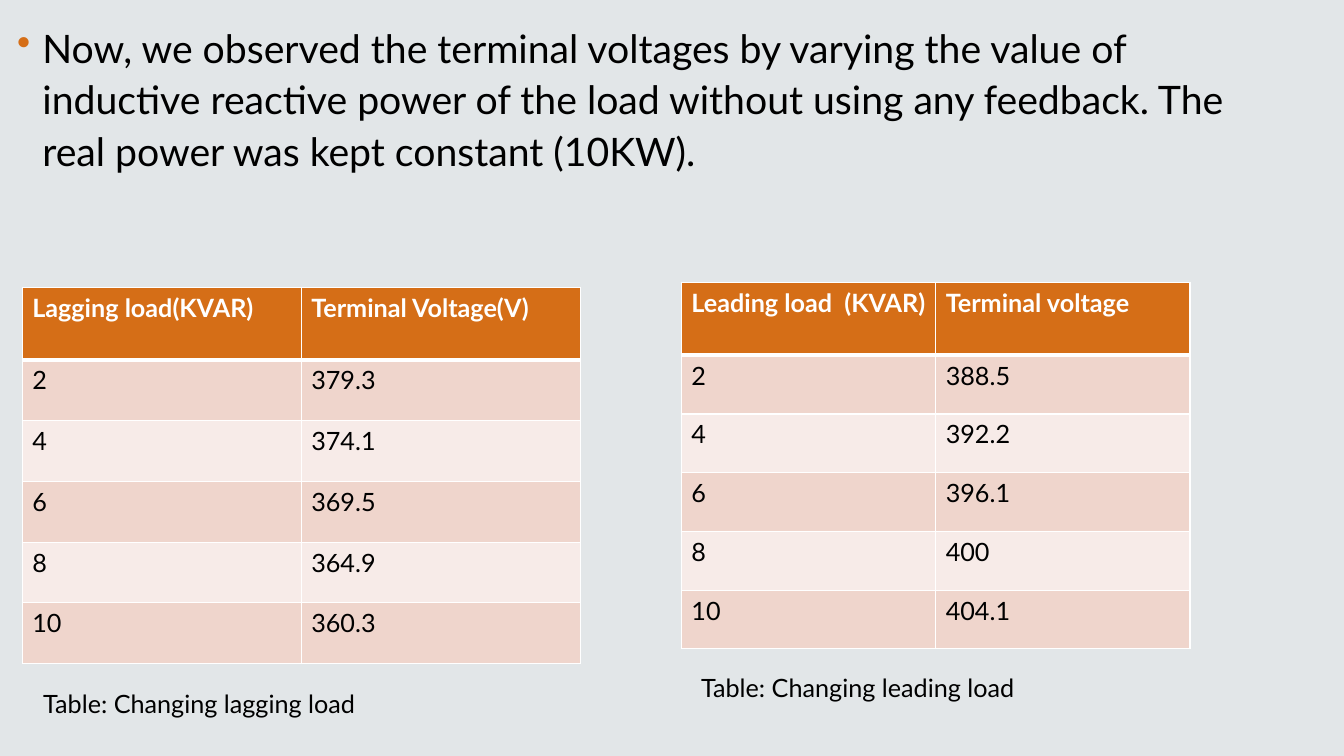
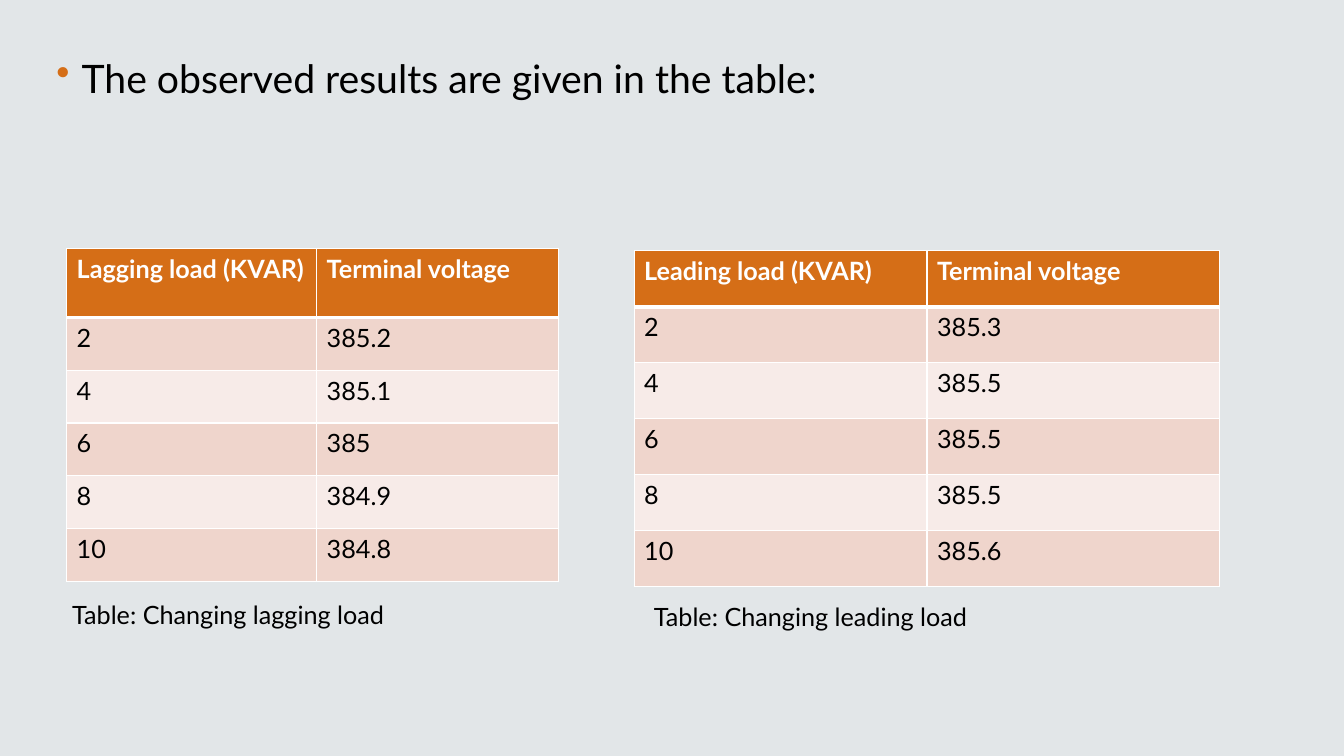
from dataclasses import dataclass

from lxml.etree import SubElement
from pptx import Presentation
from pptx.dml.color import RGBColor
from pptx.oxml.ns import qn
from pptx.slide import Slide
from pptx.table import _Cell
from pptx.text.text import _Paragraph
from pptx.util import Cm, Pt

# Shared style
COLORS = {
    "background": "E2E6E8",
    "accent": "D56E17",
    "band_dark": "EFD5CC",
    "band_light": "F7EBE8",
    "white": "FFFFFF",
    "text": "000000",
}
FONT_NAME = "Lato"
STATEMENT_SIZE = 28
TABLE_SIZE = 18
INDENT = Cm(0.64)
THIN_BORDER, THICK_BORDER = Pt(1), Pt(3)
BLANK_LAYOUT = 6
LOADS = ("2", "4", "6", "8", "10")


# Slide elements; all lengths are in centimetres
@dataclass(frozen=True)
class TextBlock:
    text: str
    left: float
    top: float
    width: float
    height: float = 1.02


@dataclass(frozen=True)
class LoadTable:
    headers: tuple[str, str]
    voltages: tuple[str, ...]
    left: float
    top: float
    column_widths: tuple[float, float]
    header_height: float
    row_height: float
    caption: TextBlock


@dataclass(frozen=True)
class ResultSlide:
    statement: TextBlock
    tables: tuple[LoadTable, ...]


RESULT_SLIDES = (
    ResultSlide(
        TextBlock(
            "Now, we observed the terminal voltages by varying the value of "
            "inductive reactive power of the load without using any feedback. "
            "The real power was kept constant (10KW).",
            0.18, 0.36, 31.98, 4.67,
        ),
        (
            LoadTable(
                ("Lagging load(KVAR)", "Terminal Voltage(V)"),
                ("379.3", "374.1", "369.5", "364.9", "360.3"),
                0.56, 7.24, (7.03, 7.03), 1.83, 1.53,
                TextBlock("Table: Changing lagging load", 0.84, 17.22, 11.96),
            ),
            LoadTable(
                ("Leading load  (KVAR)", "Terminal voltage"),
                ("388.5", "392.2", "396.1", "400", "404.1"),
                17.17, 7.11, (6.41, 6.41), 1.84, 1.48,
                TextBlock("Table: Changing leading load", 17.42, 16.81, 11.86),
            ),
        ),
    ),
    ResultSlide(
        TextBlock(
            "The observed results are given in the table:",
            1.17, 1.12, 27.15, 2.34,
        ),
        (
            LoadTable(
                ("Lagging load (KVAR)", "Terminal voltage"),
                ("385.2", "385.1", "385", "384.9", "384.8"),
                1.68, 6.27, (6.3, 6.1), 1.73, 1.33,
                TextBlock("Table: Changing lagging load", 1.57, 14.99, 12.01),
            ),
            LoadTable(
                ("Leading load (KVAR)", "Terminal voltage"),
                ("385.3", "385.5", "385.5", "385.5", "385.6"),
                15.98, 6.32, (7.38, 7.38), 1.41, 1.41,
                TextBlock("Table: Changing leading load", 16.23, 15.04, 14.38),
            ),
        ),
    ),
)


def color(name: str) -> RGBColor:
    return RGBColor.from_string(COLORS[name])


def style_font(
    paragraph: _Paragraph, size: int, color_name: str = "text", bold: bool = False
) -> None:
    font = paragraph.font
    font.name = FONT_NAME
    font.size = Pt(size)
    font.bold = bold
    font.color.rgb = color(color_name)


def add_text(slide: Slide, block: TextBlock) -> _Paragraph:
    shape = slide.shapes.add_textbox(
        Cm(block.left), Cm(block.top), Cm(block.width), Cm(block.height)
    )
    shape.text_frame.word_wrap = True
    paragraph = shape.text_frame.paragraphs[0]
    paragraph.text = block.text
    return paragraph


def add_statement(slide: Slide, block: TextBlock) -> None:
    paragraph = add_text(slide, block)
    paragraph.line_spacing = 1.1
    paragraph.space_before = Pt(10)
    # Bullet with a hanging indent
    properties = paragraph._p.get_or_add_pPr()
    properties.set("marL", str(INDENT))
    properties.set("indent", str(-INDENT))
    bullet_color = SubElement(properties, qn("a:buClr"))
    SubElement(bullet_color, qn("a:srgbClr"), val=COLORS["accent"])
    SubElement(properties, qn("a:buChar"), char="•")
    style_font(paragraph, STATEMENT_SIZE)


def set_borders(cell: _Cell, row_index: int) -> None:
    properties = cell._tc.get_or_add_tcPr()
    widths = {
        "lnL": THIN_BORDER,
        "lnR": THIN_BORDER,
        "lnT": THICK_BORDER if row_index == 1 else THIN_BORDER,
        "lnB": THICK_BORDER if row_index == 0 else THIN_BORDER,
    }
    for side, width in widths.items():
        line = SubElement(properties, qn(f"a:{side}"), w=str(width))
        fill = SubElement(line, qn("a:solidFill"))
        SubElement(fill, qn("a:srgbClr"), val=COLORS["white"])


def fill_cell(cell: _Cell, text: str, row_index: int) -> None:
    is_header = row_index == 0
    band = "band_dark" if row_index % 2 else "band_light"
    set_borders(cell, row_index)
    cell.fill.solid()
    cell.fill.fore_color.rgb = color("accent" if is_header else band)
    paragraph = cell.text_frame.paragraphs[0]
    paragraph.text = text
    style_font(paragraph, TABLE_SIZE, "white" if is_header else "text", is_header)


def add_load_table(slide: Slide, load_table: LoadTable) -> None:
    rows = (load_table.headers, *zip(LOADS, load_table.voltages))
    heights = [load_table.header_height] + [load_table.row_height] * len(LOADS)
    table = slide.shapes.add_table(
        len(rows), len(load_table.headers),
        Cm(load_table.left), Cm(load_table.top),
        Cm(sum(load_table.column_widths)), Cm(sum(heights)),
    ).table
    for column, width in zip(table.columns, load_table.column_widths):
        column.width = Cm(width)
    for row_index, (texts, height) in enumerate(zip(rows, heights)):
        table.rows[row_index].height = Cm(height)
        for column_index, text in enumerate(texts):
            fill_cell(table.cell(row_index, column_index), text, row_index)
    style_font(add_text(slide, load_table.caption), TABLE_SIZE)


def main() -> None:
    presentation = Presentation()
    presentation.slide_width = Cm(33.87)
    presentation.slide_height = Cm(19.05)
    # Background shared through the master
    background = presentation.slide_master.background.fill
    background.solid()
    background.fore_color.rgb = color("background")

    for result_slide in RESULT_SLIDES:
        slide = presentation.slides.add_slide(presentation.slide_layouts[BLANK_LAYOUT])
        add_statement(slide, result_slide.statement)
        for load_table in result_slide.tables:
            add_load_table(slide, load_table)

    presentation.save("out.pptx")


if __name__ == "__main__":
    main()
